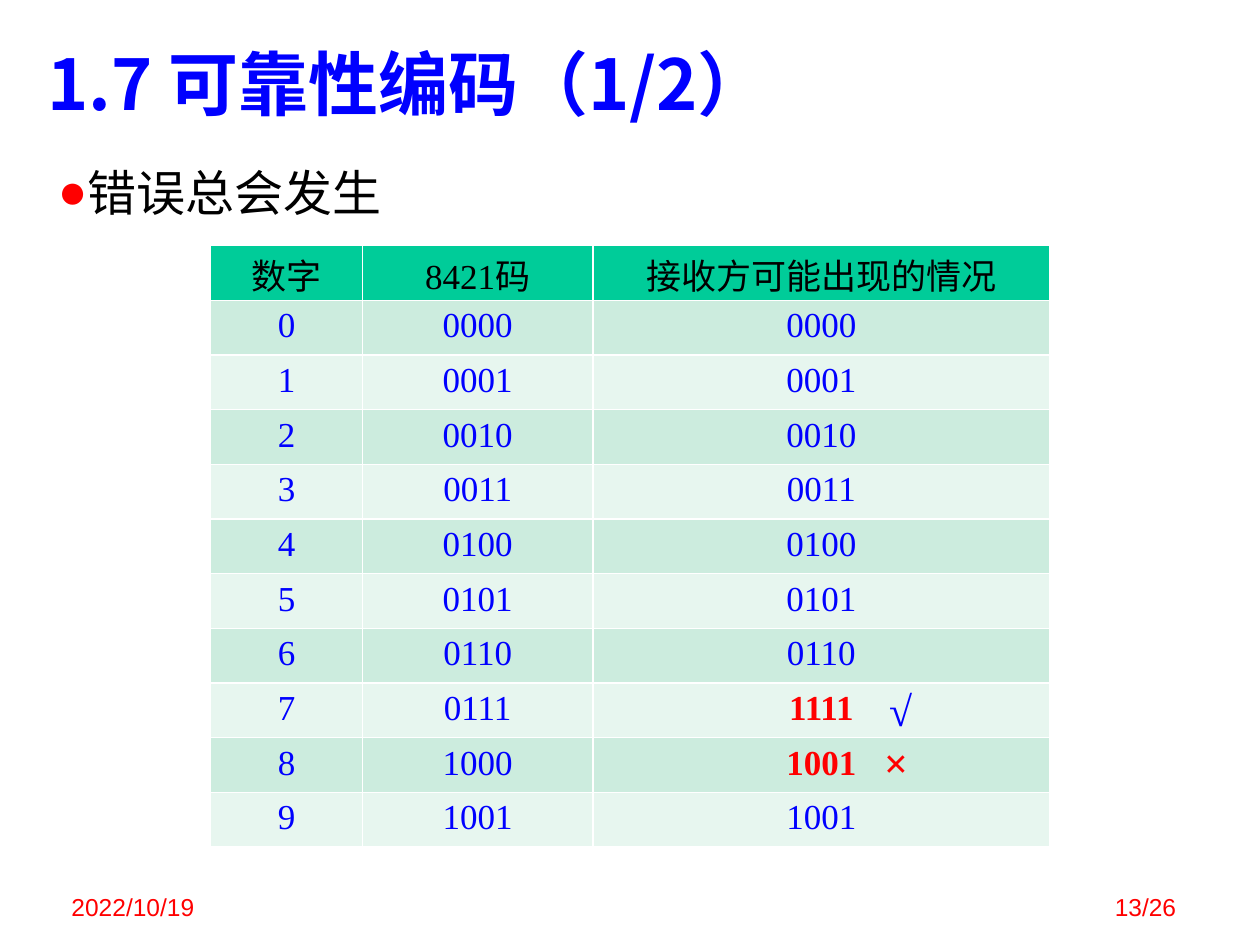
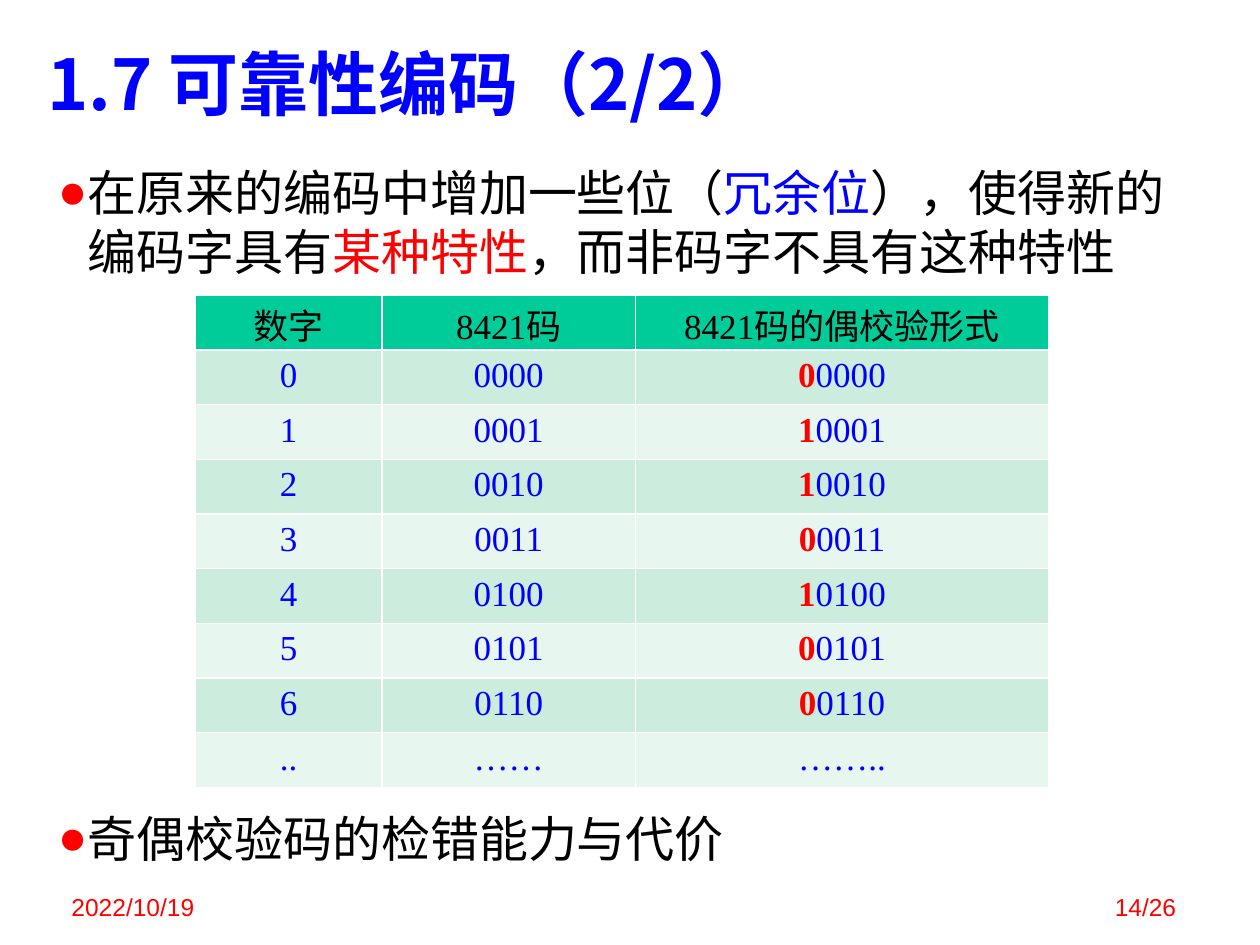
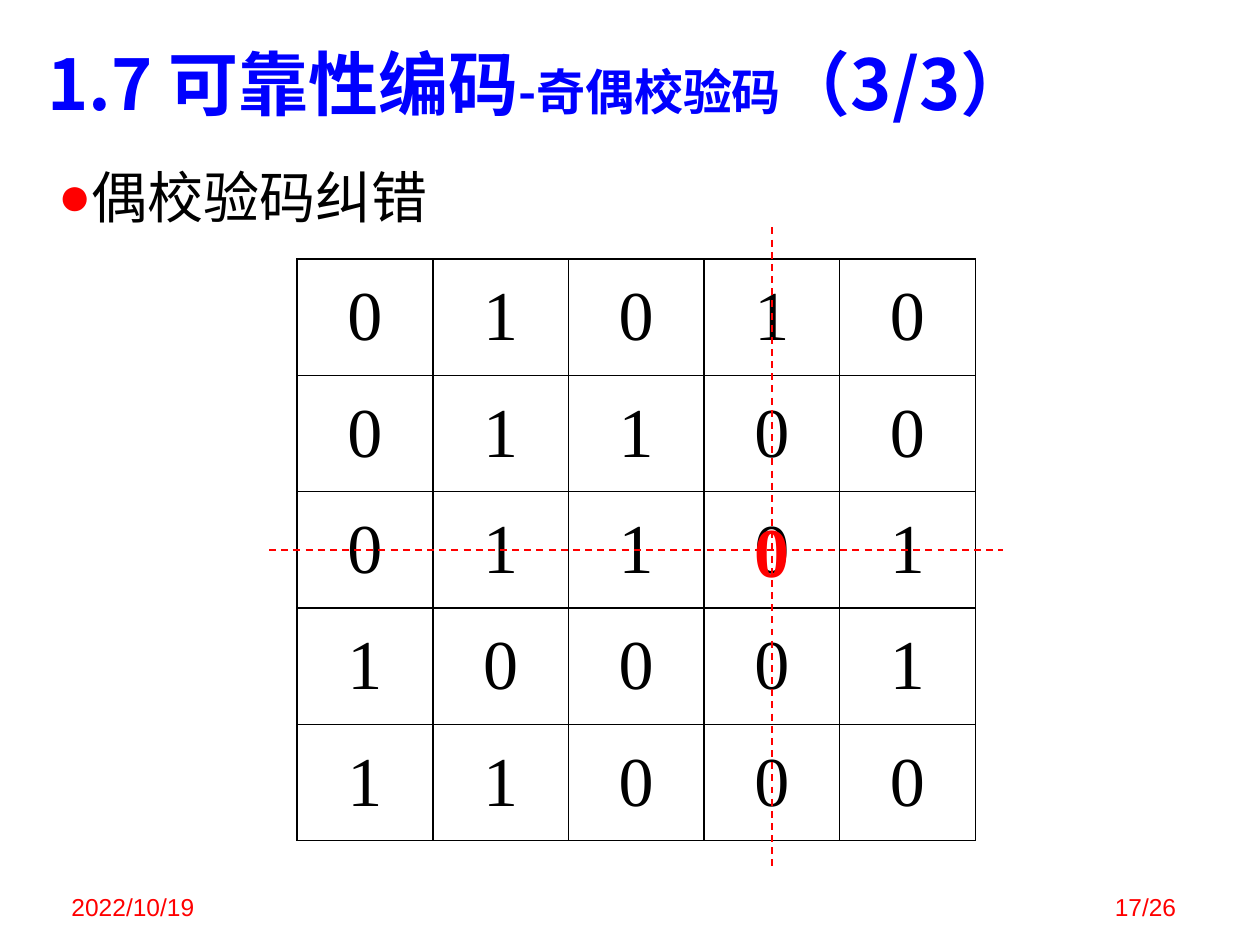
import pptx
import pptx.util
import pptx.dml.color
import pptx.enum.dml
import pptx.enum.shapes
import pptx.enum.text
import pptx.oxml.ns
import pptx.oxml.xmlchemy

Pt = pptx.util.Pt
RGBColor = pptx.dml.color.RGBColor
ALIGN = pptx.enum.text.PP_ALIGN
ANCHOR = pptx.enum.text.MSO_ANCHOR
qn = pptx.oxml.ns.qn
new_element = pptx.oxml.xmlchemy.OxmlElement

BLACK = RGBColor(0, 0, 0)
WHITE = RGBColor(255, 255, 255)
RED = RGBColor(255, 0, 0)
BLUE = RGBColor(0, 0, 255)
HEADER_GREEN = RGBColor(0x00, 0xCC, 0x99)
BANDS = (RGBColor(0xCC, 0xEC, 0xDE), RGBColor(0xE7, 0xF6, 0xEF))
SANS, SERIF, FOOTER_FONT = "Noto Sans CJK JP", "Times New Roman", "Arial"

# Formats
TITLE = dict(name=SANS, size=40, color=BLUE, bold=True)
POINT = dict(name=SANS, size=28, color=BLACK, bold=False)
FOOTER = dict(name=FOOTER_FONT, size=14, color=RED, bold=False)
HEADER = dict(name=SERIF, size=20, color=BLACK, bold=False)
CODE = dict(HEADER, color=BLUE)
MARKED = dict(HEADER, color=RED, bold=True)
BIT = dict(HEADER, size=40)
FLIPPED_BIT = dict(BIT, color=RED, bold=True)

# Content: text is a list of (words, format) runs
DATE, PAGES = "2022/10/19", 26
CHAPTER = "1.7 可靠性编码"
CODES = [format(digit, "04b") for digit in range(10)]

ERRORS_HEADER = ("数字", "8421码", "接收方可能出现的情况")
RECEIVED_WRONG = {7: "1111", 8: "1001"}
ERRORS_ROWS = [
    ([(str(digit), CODE)], [(code, CODE)],
     [(RECEIVED_WRONG[digit], MARKED) if digit in RECEIVED_WRONG else (code, CODE)])
    for digit, code in enumerate(CODES)]
VERDICTS = [("√", BLUE, (501, 387.4, 28, 36)), ("×", RED, (498.2, 417.6, 39, 36))]

PARITY_HEADER = ("数字", "8421码", "8421码的偶校验形式")
PARITY_ROWS = [
    ([(str(digit), CODE)], [(code, CODE)],
     [(str(code.count("1") % 2), MARKED), (code, CODE)])
    for digit, code in enumerate(CODES[:7])]
PARITY_ROWS.append(tuple([(dots, CODE)] for dots in ("..", "……", "……..")))

REDUNDANCY = [
    ("在原来的编码中增加一些位（", POINT), ("冗余位", dict(POINT, color=BLUE)),
    ("），使得新的编码字具有", POINT), ("某种特性", dict(POINT, color=RED)),
    ("，而非码字不具有这种特性", POINT)]

BIT_ROWS = ("01010", "01100", "01101", "10001", "11000")
FLIPPED_ROW, FLIPPED_COLUMN = 2, 3


def write(frame, runs, align=ALIGN.LEFT):
    """Fill the first paragraph of a text frame with formatted runs."""
    paragraph = frame.paragraphs[0]
    paragraph.alignment = align
    for words, look in runs:
        run = paragraph.add_run()
        run.text = words
        values = dict(look, size=Pt(look["size"]))
        run.font.color.rgb = values.pop("color")
        for key, value in values.items():
            setattr(run.font, key, value)
        has_hanzi = any("一" <= letter <= "龥" for letter in words)
        east_asian = new_element("a:ea")
        east_asian.set("typeface", SANS if has_hanzi else look["name"])
        run.font._element.append(east_asian)
    return paragraph


def add_text(slide, box, runs, align=ALIGN.LEFT, **frame_format):
    frame = slide.shapes.add_textbox(*map(Pt, box)).text_frame
    for key, value in dict(dict(word_wrap=True), **frame_format).items():
        setattr(frame, key, value)
    return write(frame, runs, align)


def add_heading(slide, box, runs):
    """Sans text with lines of 1.2 times its size."""
    paragraph = add_text(slide, box, runs, margin_top=Pt(6))
    paragraph.line_spacing = Pt(1.2 * runs[0][1]["size"])
    return paragraph


def solid_color(tag, color):
    """An XML element that holds one RGB colour."""
    element = new_element(tag)
    rgb = new_element("a:srgbClr")
    rgb.set("val", str(color))
    element.append(rgb)
    return element


def add_point(slide, runs, top=87, height=41):
    paragraph = add_heading(slide, (26, top, 669, height), runs)
    properties = paragraph._p.get_or_add_pPr()
    properties.set("marL", str(Pt(17)))
    properties.set("indent", str(-Pt(17)))
    font = new_element("a:buFont")
    font.set("typeface", FOOTER_FONT)
    bullet = new_element("a:buChar")
    bullet.set("char", "●")
    for element in (solid_color("a:buClr", RED), font, bullet):
        properties.append(element)


def set_borders(cell, color):
    properties = cell._tc.get_or_add_tcPr()
    for index, side in enumerate(("a:lnL", "a:lnR", "a:lnT", "a:lnB")):
        line = new_element(side)
        line.set("w", str(Pt(1)))
        line.append(solid_color("a:solidFill", color))
        properties.insert(index, line)


def add_grid(slide, left, top, widths, row_height, rows, border, fills=None, **cell_format):
    """Draw a table; fills gives one colour per row, or none at all."""
    table = slide.shapes.add_table(
        len(rows), len(widths), Pt(left), Pt(top),
        Pt(sum(widths)), Pt(row_height * len(rows))).table
    table.first_row = table.horz_banding = False
    for column, width in zip(table.columns, widths):
        column.width = Pt(width)
    for r, row in enumerate(rows):
        table.rows[r].height = Pt(row_height)
        for c, runs in enumerate(row):
            cell = table.cell(r, c)
            if fills:
                cell.fill.solid()
                cell.fill.fore_color.rgb = fills[r]
            else:
                cell.fill.background()
            set_borders(cell, border)
            for key, value in cell_format.items():
                setattr(cell, key, value)
            write(cell.text_frame, runs, ALIGN.CENTER)
    return table


def add_code_table(slide, left, top, widths, header, rows):
    header_row = [[(label, HEADER)] for label in header]
    fills = [HEADER_GREEN] + [BANDS[i % 2] for i in range(len(rows))]
    table = add_grid(slide, left, top, widths, 31.2, [header_row] + rows, WHITE, fills)
    for cell in table.rows[0].cells:
        cell.margin_top, cell.margin_bottom = Pt(2), 0


def add_dashed_line(slide, *ends):
    line = slide.shapes.add_connector(
        pptx.enum.shapes.MSO_CONNECTOR.STRAIGHT, *map(Pt, ends))
    line.line.color.rgb = RED
    line.line.width = Pt(1)
    line.line.dash_style = pptx.enum.dml.MSO_LINE.DASH
    line._element.find(qn("p:spPr")).append(new_element("a:effectLst"))


def add_page(deck, number, title):
    """Start a slide with its title, date and page number."""
    slide = deck.slides.add_slide(deck.slide_layouts[6])
    add_heading(slide, (20, 17.3, 684, 55.4), title)
    for left, words, align in ((33.8, DATE, ALIGN.LEFT),
                               (529.2, f"{number}/{PAGES}", ALIGN.RIGHT)):
        add_text(slide, (left, 494, 150, 36), [(words, FOOTER)], align,
                 vertical_anchor=ANCHOR.BOTTOM)
    return slide


def build_errors(deck):
    slide = add_page(deck, 13, [(CHAPTER + "（1/2）", TITLE)])
    add_point(slide, [("错误总会发生", POINT)])
    add_code_table(slide, 120.4, 140.4, (86.8, 131.6, 261.2), ERRORS_HEADER, ERRORS_ROWS)
    for mark, color, box in VERDICTS:
        look = dict(MARKED, size=24, color=color)
        add_text(slide, box, [(mark, look)], word_wrap=False)


def build_parity(deck):
    slide = add_page(deck, 14, [(CHAPTER + "（2/2）", TITLE)])
    add_point(slide, REDUNDANCY, height=75)
    add_code_table(slide, 111.8, 168.8, (106.4, 145, 236), PARITY_HEADER, PARITY_ROWS)
    add_point(slide, [("奇偶校验码的检错能力与代价", POINT)], top=455.8)


def build_correction(deck):
    slide = add_page(deck, 17, [
        (CHAPTER, TITLE), ("-奇偶校验码", dict(TITLE, size=28)), ("（3/3）", TITLE)])
    add_point(slide, [("偶校验码纠错", dict(POINT, size=32))], height=46)

    # Bit matrix, then the lines that cross at the flipped bit
    left, top, width, height = 169.8, 148, 77.5, 66.5
    rows = [[[(bit, BIT)] for bit in bits] for bits in BIT_ROWS]
    add_grid(slide, left, top, [width] * 5, height, rows, BLACK,
             vertical_anchor=ANCHOR.MIDDLE)
    cross_x = left + (FLIPPED_COLUMN + 0.5) * width
    cross_y = top + (FLIPPED_ROW + 0.5) * height
    add_dashed_line(slide, left - 16, cross_y, left + 5 * width + 16, cross_y)
    add_dashed_line(slide, cross_x, top - 18, cross_x, top + 5 * height + 15)
    add_text(slide, (cross_x - 17.2, cross_y - 27.7, 34.4, 55.4),
             [("0", FLIPPED_BIT)], word_wrap=False)


def main():
    deck = pptx.Presentation()
    deck.slide_width, deck.slide_height = Pt(720), Pt(540)
    for build in (build_errors, build_parity, build_correction):
        build(deck)
    deck.save("out.pptx")


if __name__ == "__main__":
    main()
